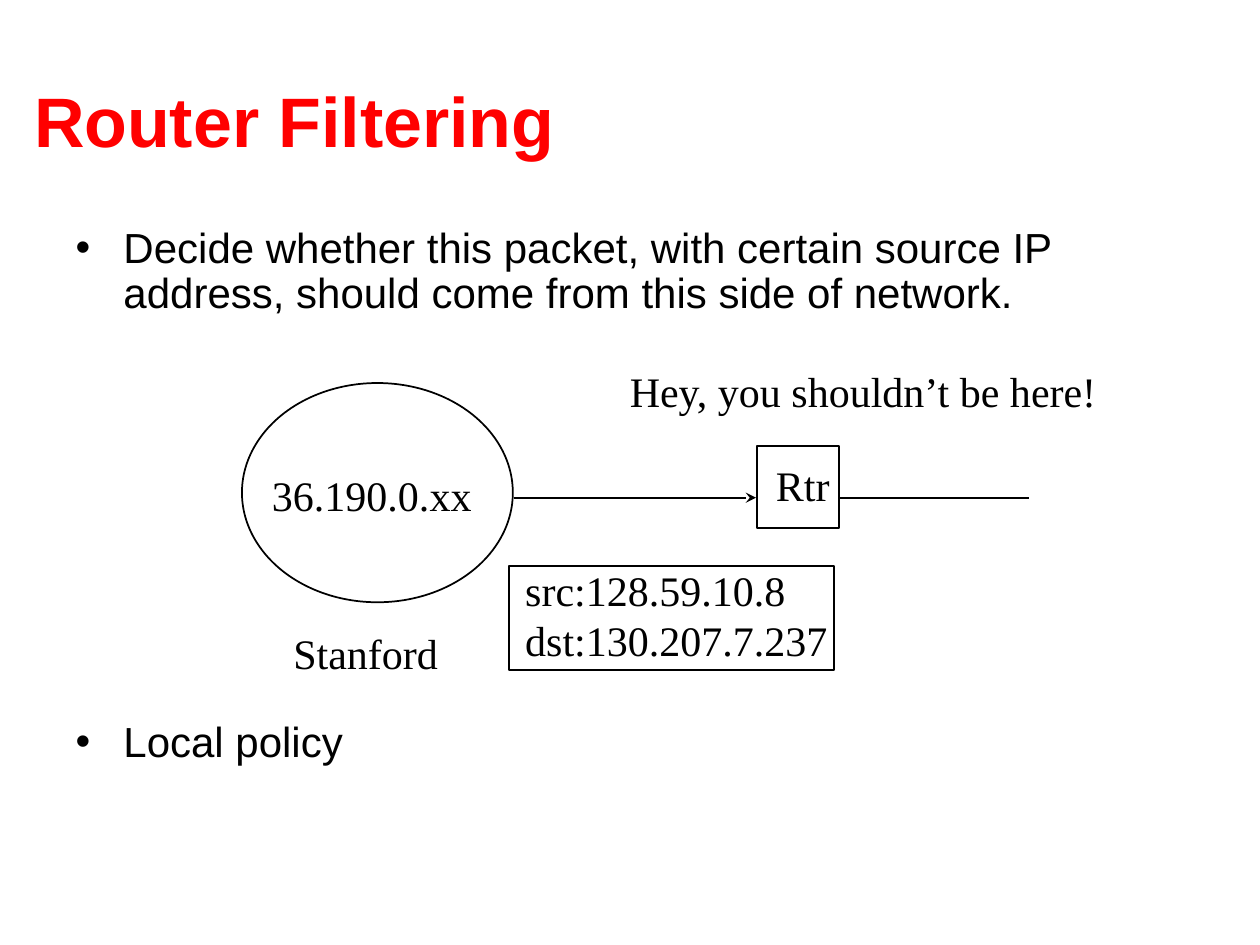
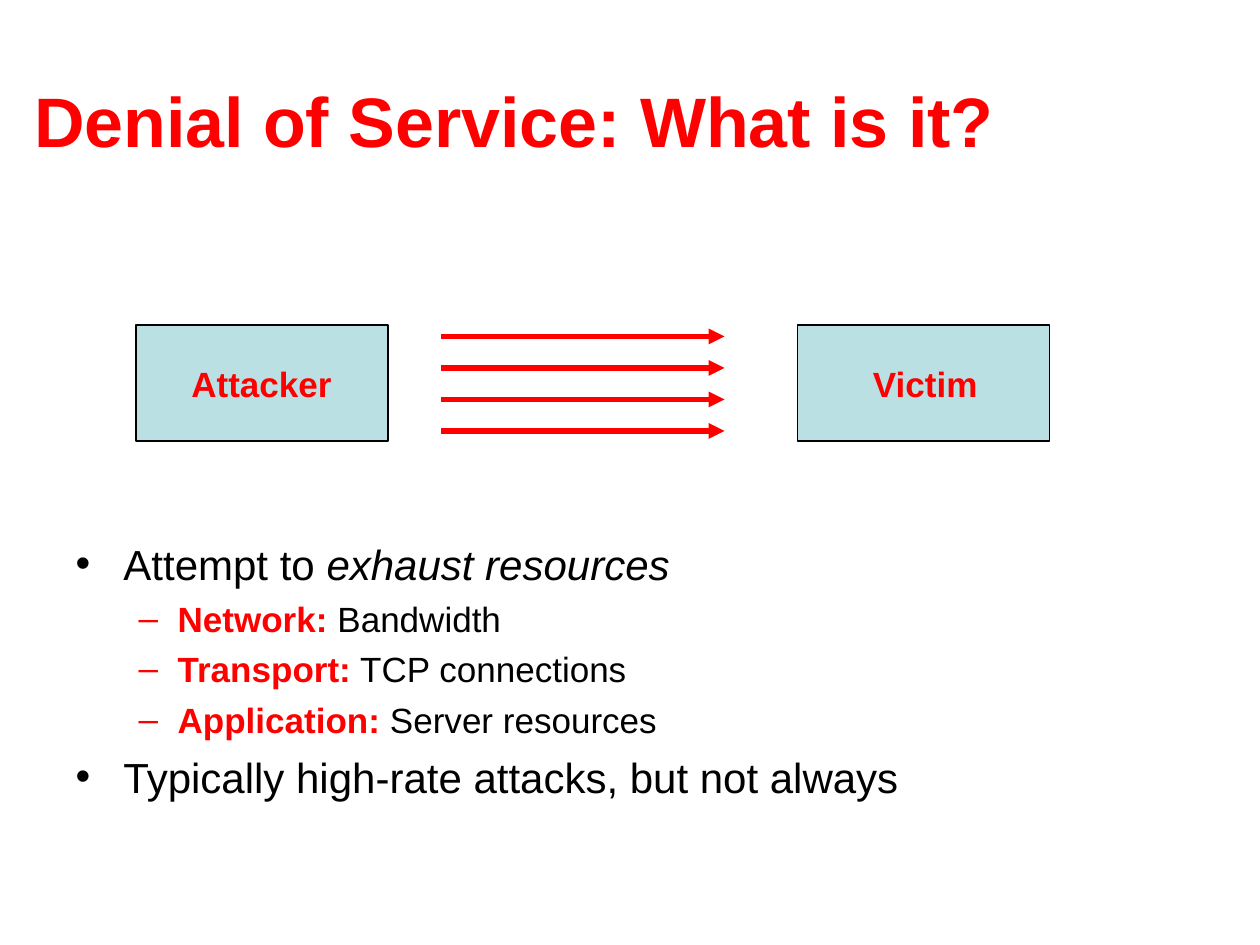
import pptx
import pptx.dml.color
import pptx.enum.shapes
import pptx.enum.text
import pptx.oxml.ns
import pptx.util
from lxml import etree

Inches = pptx.util.Inches
Pt = pptx.util.Pt
SHAPE = pptx.enum.shapes.MSO_SHAPE

# Shared look
RED, BLACK, PALE_BLUE = "FF0000", "000000", "BBE0E3"
SANS, SERIF = "Arial", "Times New Roman"
TITLE_BOX = (0.17, 0.32, 9.58, 1.25)
# per level: bullet, bullet colour, text size, left margin, hanging indent, space before
LEVELS = [("•", BLACK, 24, 0.38, 0.38, 6), ("–", RED, 20, 0.81, 0.31, 5)]

# Slide 1 content
FILTER_TITLE = "Router Filtering"
FILTER_BODY = (0.5, 1.75, 9, 4.95)
DIAGRAM_GAP = 230.5  # points kept free for the diagram between the two bullets
FILTER_POINTS = [
    (0, [("Decide whether this packet, with certain source IP address, "
          "should come from this side of network.", "")]),
    (0, [("Local policy", "")]),
]
FILTER_OUTLINES = [
    (SHAPE.RECTANGLE, (6.01, 3.54, 0.65, 0.65)),
    (SHAPE.OVAL, (1.92, 3.04, 2.15, 1.74)),
    (SHAPE.RECTANGLE, (4.04, 4.49, 2.58, 0.83)),
]
FILTER_LABELS = [
    (["36.190.0.xx"], (2.06, 3.68, 1.79, 0.5)),
    (["Rtr"], (6.06, 3.6, 0.63, 0.5)),
    (["src:128.59.10.8", "dst:130.207.7.237"], (4.07, 4.43, 2.6, 0.9)),
    (["Stanford"], (2.23, 4.93, 1.35, 0.5)),
    (["Hey, you shouldn’t be here!"], (4.9, 2.85, 3.93, 0.5)),
]
WIRE_Y = 3.95
WIRES = [(4.08, 6, "stealth"), (6.67, 8.17, None)]

# Slide 2 content; run styles: "i" italic, "b" bold red
DOS_TITLE = "Denial of Service: What is it?"
DOS_BODY = (0.5, 4.22, 9, 2.28)
DOS_POINTS = [
    (0, [("Attempt to ", ""), ("exhaust resources", "i")]),
    (1, [("Network:", "b"), (" Bandwidth", "")]),
    (1, [("Transport:", "b"), (" TCP connections", "")]),
    (1, [("Application:", "b"), (" Server resources", "")]),
    (0, [("Typically high-rate attacks, but not always", "")]),
]
HOSTS = [("Attacker", 1.08, 1.42), ("Victim", 6.33, 6.83)]  # box left, label left
HOST_TOP, HOST_WIDTH, HOST_HEIGHT = 2.58, 2, 0.92
ATTACK_COUNT, ATTACK_TOP, ATTACK_STEP = 4, 2.67, 0.25
ATTACK_FROM, ATTACK_TO = 3.5, 5.75


def rgb(colour):
    return pptx.dml.color.RGBColor.from_string(colour)


def add_xml(parent, tag, **attributes):
    return etree.SubElement(parent, pptx.oxml.ns.qn(tag), attributes)


def place(shape, box):
    shape.left, shape.top, shape.width, shape.height = map(Inches, box)


def add_run(paragraph, text, size, font=SANS, colour=BLACK, bold=False, italic=False):
    run = paragraph.add_run()
    run.text = text
    run.font.name, run.font.size = font, Pt(size)
    run.font.bold, run.font.italic = bold, italic
    run.font.color.rgb = rgb(colour)


def add_slide(deck, title, body_box, points):
    slide = deck.slides.add_slide(deck.slide_layouts[1])
    heading, body = slide.placeholders
    for holder, box in ((heading, TITLE_BOX), (body, body_box)):
        place(holder, box)
        holder.text_frame.word_wrap = True
        holder.text_frame.auto_size = pptx.enum.text.MSO_AUTO_SIZE.NONE
    heading.text_frame.vertical_anchor = pptx.enum.text.MSO_ANCHOR.MIDDLE
    headline = heading.text_frame.paragraphs[0]
    headline.alignment = pptx.enum.text.PP_ALIGN.LEFT
    add_run(headline, title, 40, colour=RED, bold=True)

    for index, (level, runs) in enumerate(points):
        frame = body.text_frame
        point = frame.add_paragraph() if index else frame.paragraphs[0]
        bullet, bullet_colour, size, margin, hang, before = LEVELS[level]
        point.level = level
        properties = point._p.get_or_add_pPr()
        properties.set("marL", str(Inches(margin)))
        properties.set("indent", str(-Inches(hang)))
        add_xml(add_xml(properties, "a:buClr"), "a:srgbClr", val=bullet_colour)
        add_xml(properties, "a:buFont", typeface=SANS)
        add_xml(properties, "a:buChar", char=bullet)
        point.space_before = Pt(before if index else 0)
        for text, style in runs:
            add_run(point, text, size, colour=RED if style == "b" else BLACK,
                    bold=style == "b", italic=style == "i")
    return slide


def add_outline(slide, kind, box, width, fill=None):
    outline = slide.shapes.add_shape(kind, *map(Inches, box))
    outline.shadow.inherit = False
    if fill:
        outline.fill.solid()
        outline.fill.fore_color.rgb = rgb(fill)
    else:
        outline.fill.background()
    outline.line.color.rgb = rgb(BLACK)
    outline.line.width = Pt(width)


def add_label(slide, lines, box, size, wrap=False, **style):
    frame = slide.shapes.add_textbox(*map(Inches, box)).text_frame
    frame.word_wrap = wrap
    for index, line in enumerate(lines):
        paragraph = frame.add_paragraph() if index else frame.paragraphs[0]
        add_run(paragraph, line, size, **style)


def add_wire(slide, start, end, y, colour, width, arrowhead=None):
    wire = slide.shapes.add_connector(
        pptx.enum.shapes.MSO_CONNECTOR.STRAIGHT,
        Inches(start), Inches(y), Inches(end), Inches(y))
    wire.line.color.rgb = rgb(colour)
    wire.line.width = Pt(width)
    if arrowhead:
        add_xml(wire.line._get_or_add_ln(), "a:tailEnd", type=arrowhead)
    add_xml(wire._element.spPr, "a:effectLst")


def build_filtering(deck):
    slide = add_slide(deck, FILTER_TITLE, FILTER_BODY, FILTER_POINTS)
    body = slide.placeholders[1].text_frame
    for point in body.paragraphs:
        point.line_spacing = 0.9
    body.paragraphs[-1].space_before = Pt(DIAGRAM_GAP)
    for kind, box in FILTER_OUTLINES:
        add_outline(slide, kind, box, 1)
    for lines, box in FILTER_LABELS:
        add_label(slide, lines, box, 24, font=SERIF)
    for start, end, arrowhead in WIRES:
        add_wire(slide, start, end, WIRE_Y, BLACK, 1, arrowhead)


def build_denial_of_service(deck):
    slide = add_slide(deck, DOS_TITLE, DOS_BODY, DOS_POINTS)
    for name, box_left, label_left in HOSTS:
        add_outline(slide, SHAPE.RECTANGLE,
                    (box_left, HOST_TOP, HOST_WIDTH, HOST_HEIGHT), 0.75, PALE_BLUE)
        add_label(slide, [name], (label_left, HOST_TOP + 0.25, 1.75, 0.44), 20,
                  wrap=True, colour=RED, bold=True)
    for index in range(ATTACK_COUNT):
        add_wire(slide, ATTACK_FROM, ATTACK_TO, ATTACK_TOP + index * ATTACK_STEP,
                 RED, 3, "triangle")


def main():
    deck = pptx.Presentation()
    deck.slide_width, deck.slide_height = Inches(10), Inches(7.5)
    build_filtering(deck)
    build_denial_of_service(deck)
    deck.save("out.pptx")


if __name__ == "__main__":
    main()
